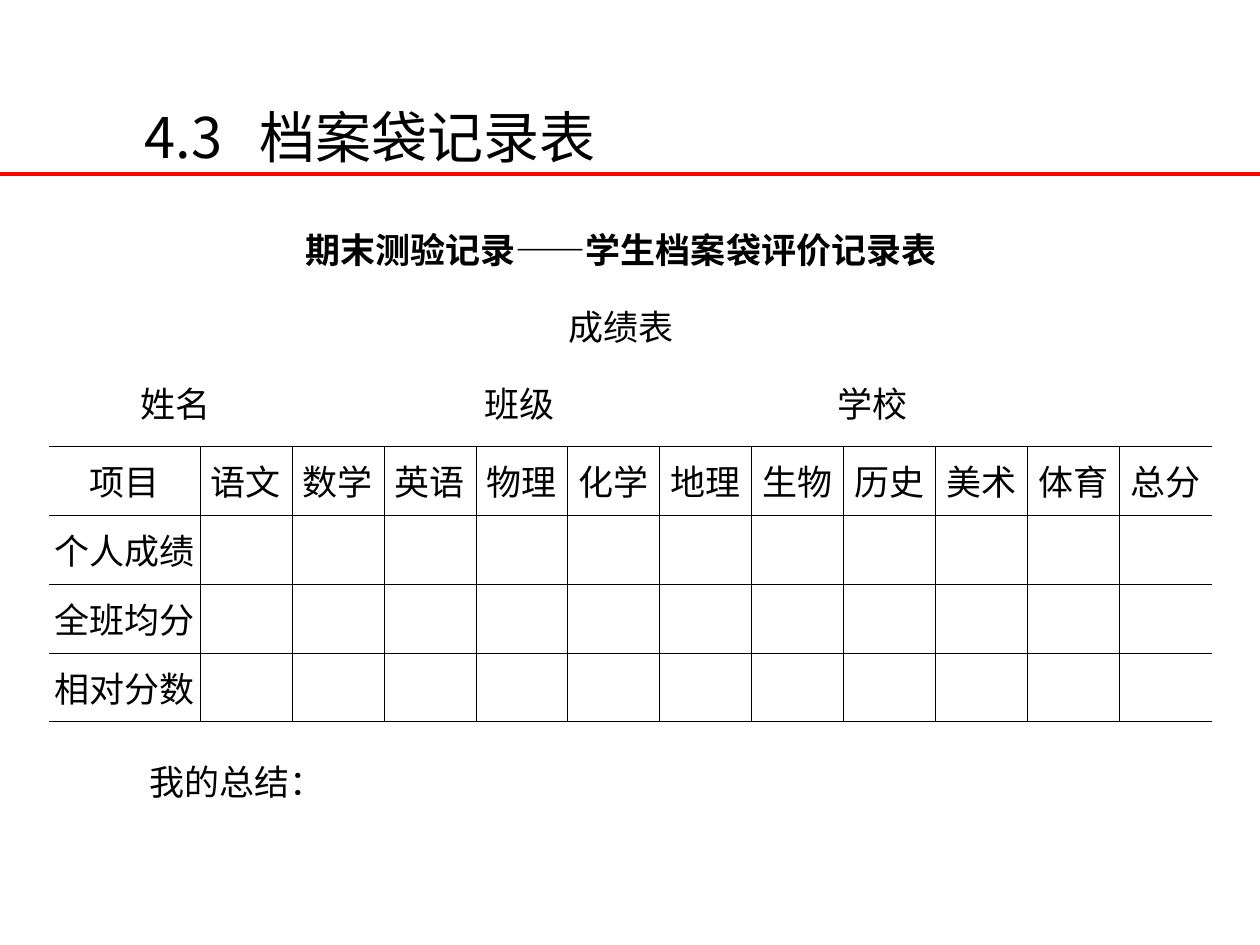
from lxml import etree
from pptx import Presentation
from pptx import util as u
from pptx.dml.color import RGBColor
from pptx.enum import shapes, text
from pptx.oxml import ns

PX = 914400 / 126
FONT = "Noto Sans CJK SC"
BLACK = RGBColor(0, 0, 0)
RED = RGBColor(255, 0, 0)
LEFT = text.PP_ALIGN.LEFT
CENTER = text.PP_ALIGN.CENTER


def px(length):
    return u.Emu(round(length * PX))


def write(frame, words, size=20, bold=False, align=LEFT, spacing=1.3, tabs=()):
    para = frame.paragraphs[0]
    if tabs:
        tab_list = etree.SubElement(para._p.get_or_add_pPr(), ns.qn("a:tabLst"))
        for stop in tabs:
            etree.SubElement(tab_list, ns.qn("a:tab"), pos=str(px(stop)), algn="l")
    para.alignment = align
    para.line_spacing = spacing
    span = para.add_run()
    span.text = words
    span.font.size = u.Pt(size)
    span.font.bold = bold
    span.font.color.rgb = BLACK
    span.font.name = FONT
    etree.SubElement(span._r.get_or_add_rPr(), ns.qn("a:ea"), typeface=FONT)


deck = Presentation()
deck.slide_width = px(1260)
deck.slide_height = px(945)
page = deck.slides.add_slide(deck.slide_layouts[6])

rule = page.shapes.add_connector(shapes.MSO_CONNECTOR.STRAIGHT, 0, px(174), px(1260), px(174))
rule.line.color.rgb = RED
rule.line.width = u.Pt(2.25)
etree.SubElement(rule._element.spPr, ns.qn("a:effectLst"))

boxes = [
    ("4.3\t档案袋记录表", (132, 76, 1004, 101), {"size": 32, "tabs": [115]}),
    ("期末测验记录——学生档案袋评价记录表", (217, 210, 808, 68), {"bold": True, "align": CENTER}),
    ("成绩表", (159, 287, 925, 68), {"align": CENTER}),
    ("姓名\t班级\t学校", (128, 364, 994, 68), {"tabs": [344, 697]}),
    ("我的总结：", (137, 742, 925, 68), {}),
]
for words, place, style in boxes:
    box = page.shapes.add_textbox(*map(px, place))
    box.text_frame.word_wrap = True
    box.text_frame.auto_size = text.MSO_AUTO_SIZE.SHAPE_TO_FIT_TEXT
    write(box.text_frame, words, **style)

subjects = ["项目", "语文", "数学", "英语", "物理", "化学",
            "地理", "生物", "历史", "美术", "体育", "总分"]
records = [subjects, ["个人成绩"], ["全班均分"], ["相对分数"]]
last = len(subjects) - 1

scores = page.shapes.add_table(len(records), len(subjects), px(49), px(446), px(1163), px(276)).table
scores.first_row = False
scores.horz_banding = False
for index, column in enumerate(scores.columns):
    column.width = px(92 if index else 151)
for row in scores.rows:
    row.height = px(69)

for row_index, record in enumerate(records):
    for column_index in range(len(subjects)):
        cell = scores.cell(row_index, column_index)
        cell.vertical_anchor = text.MSO_ANCHOR.MIDDLE
        cell.margin_left = cell.margin_right = px(1)
        cell.margin_top = cell.margin_bottom = px(6)
        if column_index < len(record):
            write(cell.text_frame, record[column_index], align=CENTER, spacing=1.0)
        borders = {"lnL": column_index > 0, "lnR": column_index < last, "lnT": True, "lnB": True}
        properties = cell._tc.get_or_add_tcPr()
        for side, drawn in borders.items():
            edge = etree.SubElement(properties, ns.qn("a:" + side), w=str(u.Pt(0.45)))
            if drawn:
                fill = etree.SubElement(edge, ns.qn("a:solidFill"))
                etree.SubElement(fill, ns.qn("a:srgbClr"), val=str(BLACK))
            else:
                etree.SubElement(edge, ns.qn("a:noFill"))
        cell.fill.background()

deck.save("out.pptx")
